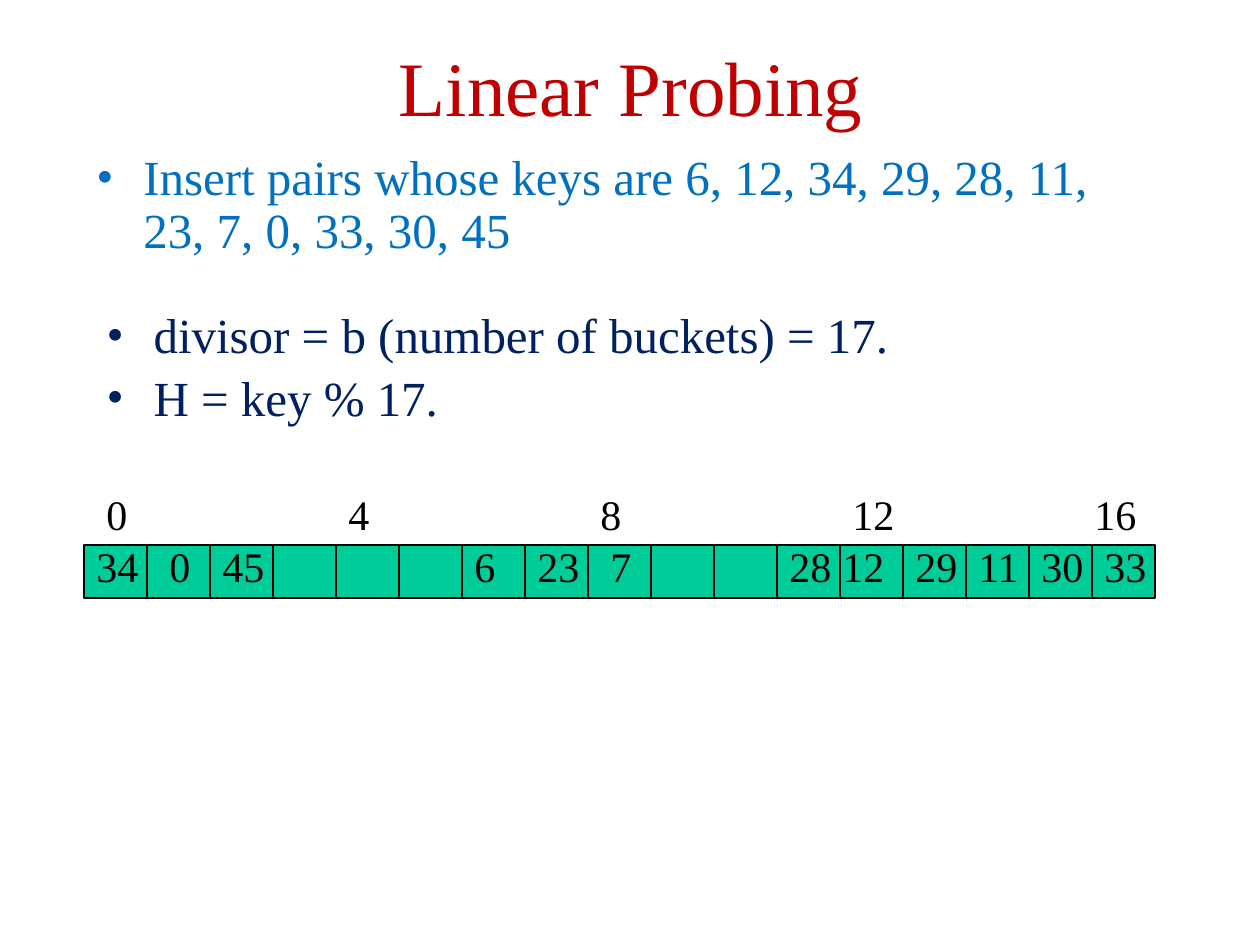
from lxml import etree
from pptx import Presentation
from pptx import util as u
from pptx.dml.color import RGBColor
from pptx.enum import shapes, text
from pptx.oxml.ns import qn

TITLE = "Linear Probing"
INSERTS = ["Insert pairs whose keys are 6, 12, 34, 29, 28, 11, 23, 7, 0, 33, 30, 45"]
HASHING = ["divisor = b (number of buckets) = 17.", "H = key % 17."]
BUCKETS = 17

# bucket number: (text, shift from the bucket's left edge in px)
INDEXES = {0: ("0", 10), 4: ("4", 0), 8: ("8", 0), 12: ("12", 0), 16: ("16", -10)}
KEYS = {0: ("34", 0), 1: ("0", 10), 2: ("45", 0), 6: ("6", 0), 7: ("23", 0),
        8: ("7", 10), 11: ("28", 0), 12: ("12", -10), 13: ("29", 0),
        14: ("11", 0), 15: ("30", 0), 16: ("33", 0)}

FONT = "Times New Roman"
RED, BLUE, NAVY = "C00000", "0070C0", "002060"
GREEN, BLACK = "00CC99", "000000"
LEFT, CELL_W, CELL_H = 84, 63, 53
CELL_TOP, INDEX_TOP, KEY_TOP = 545, 482, 534


def px(n):
    return u.Emu(round(n * 914400 / 126))


def rgb(value):
    return RGBColor.from_string(value)


def place(item, left, top, width, height):
    item.left, item.top, item.width, item.height = map(px, (left, top, width, height))


def style(para, size, color):
    for span in para.runs:
        span.font.name = FONT
        span.font.size = u.Pt(size)
        span.font.color.rgb = rgb(color)


def fill_list(box, lines, color):
    frame = box.text_frame
    frame.word_wrap = True
    frame.auto_size = text.MSO_AUTO_SIZE.NONE
    frame.text = "\n".join(lines)
    for i, para in enumerate(frame.paragraphs):
        props = para._p.get_or_add_pPr()
        props.set("marL", str(px(47)))
        props.set("indent", str(-px(47)))
        etree.SubElement(props, qn("a:buFont"), typeface=FONT)
        etree.SubElement(props, qn("a:buChar"), char="•")
        para.line_spacing = 0.9
        para.space_before = u.Pt(5.6 if i else 0)
        style(para, 28, color)


def add_numbers(page, numbers, top):
    for bucket, (label, shift) in numbers.items():
        left = LEFT + bucket * CELL_W + shift
        box = page.shapes.add_textbox(px(left), px(top), px(73), px(63))
        box.text_frame.word_wrap = True
        box.text_frame.text = label
        style(box.text_frame.paragraphs[0], 24, BLACK)


deck = Presentation()
deck.slide_width, deck.slide_height = u.Inches(10), u.Inches(7.5)
page = deck.slides.add_slide(deck.slide_layouts[1])

# Title
title = page.shapes.title
place(title, 94, 0, 1074, 170)
title.text_frame.text = TITLE
title.text_frame.auto_size = text.MSO_AUTO_SIZE.NONE
title.text_frame.vertical_anchor = text.MSO_ANCHOR.MIDDLE
heading = title.text_frame.paragraphs[0]
heading.alignment = text.PP_ALIGN.CENTER
heading.line_spacing = 1.02
style(heading, 44, RED)

# Bullet lists
body = page.placeholders[1]
place(body, 94, 305, 1071, 548)
fill_list(body, HASHING, NAVY)
inserts = page.shapes.add_textbox(px(84), px(147), px(1071), px(126))
fill_list(inserts, INSERTS, BLUE)

# Hash table buckets
for i in range(BUCKETS):
    cell = page.shapes.add_shape(shapes.MSO_SHAPE.RECTANGLE, px(LEFT + i * CELL_W),
                                 px(CELL_TOP), px(CELL_W), px(CELL_H))
    cell.shadow.inherit = False
    cell.fill.solid()
    cell.fill.fore_color.rgb = rgb(GREEN)
    cell.line.color.rgb = rgb(BLACK)
    cell.line.width = u.Pt(1)

# Bucket indexes above, stored keys inside
add_numbers(page, INDEXES, INDEX_TOP)
add_numbers(page, KEYS, KEY_TOP)

deck.save("out.pptx")
